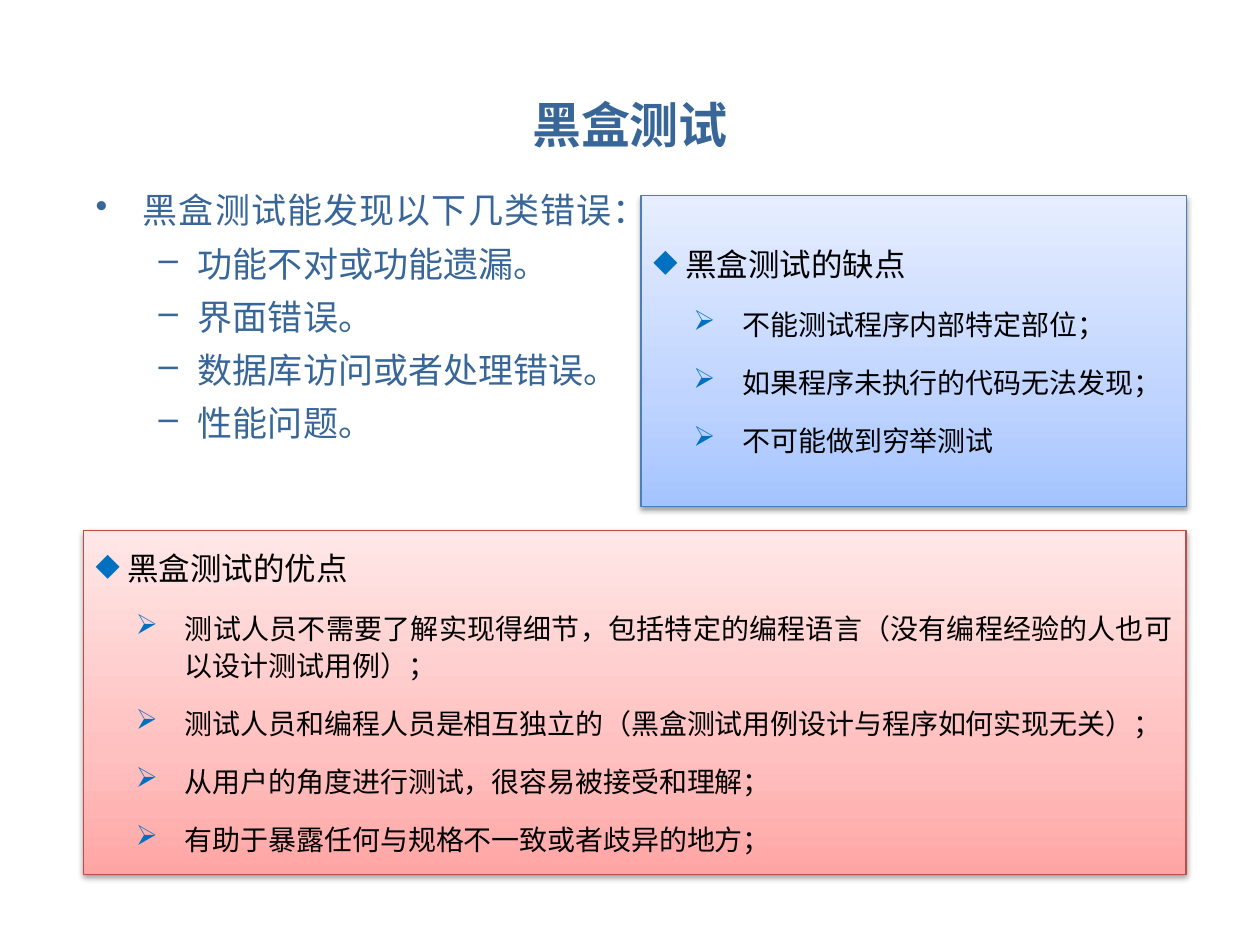
from dataclasses import dataclass

from lxml import etree
from pptx import Presentation
from pptx.dml.color import RGBColor
from pptx.enum.shapes import MSO_SHAPE
from pptx.enum.text import MSO_ANCHOR, MSO_AUTO_SIZE, PP_ALIGN
from pptx.oxml.ns import qn
from pptx.util import Cm, Pt

RECTANGLE = MSO_SHAPE.RECTANGLE
TOP, MIDDLE = MSO_ANCHOR.TOP, MSO_ANCHOR.MIDDLE
NO_AUTOFIT = MSO_AUTO_SIZE.NONE
LEFT, CENTER, JUSTIFY = PP_ALIGN.LEFT, PP_ALIGN.CENTER, PP_ALIGN.JUSTIFY


@dataclass(frozen=True)
class Theme:
    heading_font: str = "Noto Sans CJK SC"
    body_font: str = "Roboto"
    blue: str = "386698"
    black: str = "000000"
    bullet: str = "0070C0"
    red_line: str = "BF4C48"
    red_stops: tuple = ((0, "FFA6A5"), (35, "FFC0BF"), (100, "FFE7E7"))
    blue_line: str = "4B7EBC"
    blue_stops: tuple = ((0, "A4C4FF"), (35, "BFD4FF"), (100, "E6EEFF"))
    title_size: int = 28
    body_size: int = 20
    panel_heading_size: int = 18
    panel_item_size: int = 16


@dataclass(frozen=True)
class ListStyle:
    font: str
    size: int
    color: str
    bullet: str
    bullet_color: str
    margin: float
    indent: float
    level: int = 0
    alignment: PP_ALIGN = JUSTIFY
    line_spacing: float = 1.1
    before: int = 6
    after: int = 6


def add_element(parent, tag, **attributes):
    return etree.SubElement(parent, qn(tag), attributes)


class SlideBuilder:
    def __init__(self, slide, theme):
        self.slide = slide
        self.theme = theme

    def add_run(self, paragraph, text, font, size, color, bold=False, asian_font=None):
        run = paragraph.add_run()
        run.text = text
        run.font.name = font
        run.font.size = Pt(size)
        run.font.bold = bold
        run.font.color.rgb = RGBColor.from_string(color)
        add_element(run.font._element, "a:ea", typeface=asian_font or font)

    def title(self, text, left, top, width, height):
        theme = self.theme
        shape = self.slide.shapes.title
        shape.left, shape.top, shape.width, shape.height = map(Cm, (left, top, width, height))
        frame = shape.text_frame
        frame.auto_size = NO_AUTOFIT
        frame.vertical_anchor = MIDDLE
        paragraph = frame.paragraphs[0]
        paragraph.alignment = CENTER
        self.add_run(paragraph, text, theme.heading_font, theme.title_size, theme.blue, True)

    def fill_list(self, frame, heading, items, heading_style, item_style):
        frame.word_wrap = True
        entries = [(heading, heading_style)] + [(item, item_style) for item in items]
        for index, (text, style) in enumerate(entries):
            paragraph = frame.add_paragraph() if index else frame.paragraphs[0]
            paragraph.alignment = style.alignment
            paragraph.level = style.level
            paragraph.line_spacing = style.line_spacing
            paragraph.space_before = Pt(style.before)
            paragraph.space_after = Pt(style.after)
            properties = paragraph._p.get_or_add_pPr()
            properties.set("marL", str(Cm(style.margin)))
            properties.set("indent", str(Cm(style.indent)))
            bullet_color = add_element(properties, "a:buClr")
            add_element(bullet_color, "a:srgbClr", val=style.bullet_color)
            add_element(properties, "a:buChar", char=style.bullet)
            self.add_run(paragraph, text, style.font, style.size, style.color,
                         asian_font=self.theme.body_font)

    def bullet_list(self, heading, items, left, top, width, height):
        theme = self.theme
        shape = self.slide.shapes.add_textbox(*map(Cm, (left, top, width, height)))
        shape.text_frame.vertical_anchor = TOP
        common = dict(font=theme.body_font, size=theme.body_size, color=theme.blue,
                      bullet_color=theme.blue, before=4, after=0)
        self.fill_list(
            shape.text_frame, heading, items,
            ListStyle(bullet="•", margin=0.95, indent=-0.95, **common),
            ListStyle(bullet="–", margin=2.06, indent=-0.79, level=1, alignment=LEFT, **common))

    def panel(self, heading, items, left, top, width, height, stops, line_color):
        theme = self.theme
        shape = self.slide.shapes.add_shape(RECTANGLE, *map(Cm, (left, top, width, height)))
        self.apply_gradient(shape, stops)
        shape.line.color.rgb = RGBColor.from_string(line_color)
        shape.line.width = Pt(0.75)
        self.apply_shadow(shape)
        shape.text_frame.vertical_anchor = MIDDLE
        common = dict(font=theme.heading_font, color=theme.black, bullet_color=theme.bullet)
        self.fill_list(
            shape.text_frame, heading, items,
            ListStyle(size=theme.panel_heading_size, bullet="◆", margin=0.64, indent=-1.19,
                      line_spacing=1.0, **common),
            ListStyle(size=theme.panel_item_size, bullet="➢", margin=1.8, indent=-0.99,
                      level=1, **common))

    def apply_gradient(self, shape, stops):
        shape.fill.gradient()
        shape.fill.gradient_angle = 90
        stop_list = shape._element.spPr.find(qn("a:gradFill")).find(qn("a:gsLst"))
        for old_stop in list(stop_list):
            stop_list.remove(old_stop)
        for position, color in stops:
            stop = add_element(stop_list, "a:gs", pos=str(position * 1000))
            add_element(stop, "a:srgbClr", val=color)

    def apply_shadow(self, shape):
        shape.shadow.inherit = False
        effects = shape._element.spPr.find(qn("a:effectLst"))
        shadow = add_element(effects, "a:outerShdw", blurRad=str(Pt(3.1)), dist=str(Pt(1.6)),
                             dir="5400000", rotWithShape="0")
        color = add_element(shadow, "a:srgbClr", val=self.theme.black)
        add_element(color, "a:alpha", val="38000")


def main():
    theme = Theme()
    presentation = Presentation()
    presentation.slide_width = Cm(25.4)
    presentation.slide_height = Cm(19.05)
    slide = presentation.slides.add_slide(presentation.slide_layouts.get_by_name("Title Only"))
    builder = SlideBuilder(slide, theme)

    builder.title("黑盒测试", 4.8, 1.4, 15.8, 2.2)
    builder.bullet_list(
        "黑盒测试能发现以下几类错误：",
        ["功能不对或功能遗漏。", "界面错误。", "数据库访问或者处理错误。", "性能问题。"],
        1.68, 3.6, 10.92, 7.1)
    builder.panel(
        "黑盒测试的优点",
        ["测试人员不需要了解实现得细节，包括特定的编程语言（没有编程经验的人也可以设计测试用例）；",
         "测试人员和编程人员是相互独立的（黑盒测试用例设计与程序如何实现无关）；",
         "从用户的角度进行测试，很容易被接受和理解；",
         "有助于暴露任何与规格不一致或者歧异的地方；"],
        1.68, 10.7, 22.23, 6.93, theme.red_stops, theme.red_line)
    builder.panel(
        "黑盒测试的缺点",
        ["不能测试程序内部特定部位；", "如果程序未执行的代码无法发现；", "不可能做到穷举测试"],
        12.92, 3.94, 11, 6.27, theme.blue_stops, theme.blue_line)

    presentation.save("out.pptx")


if __name__ == "__main__":
    main()
